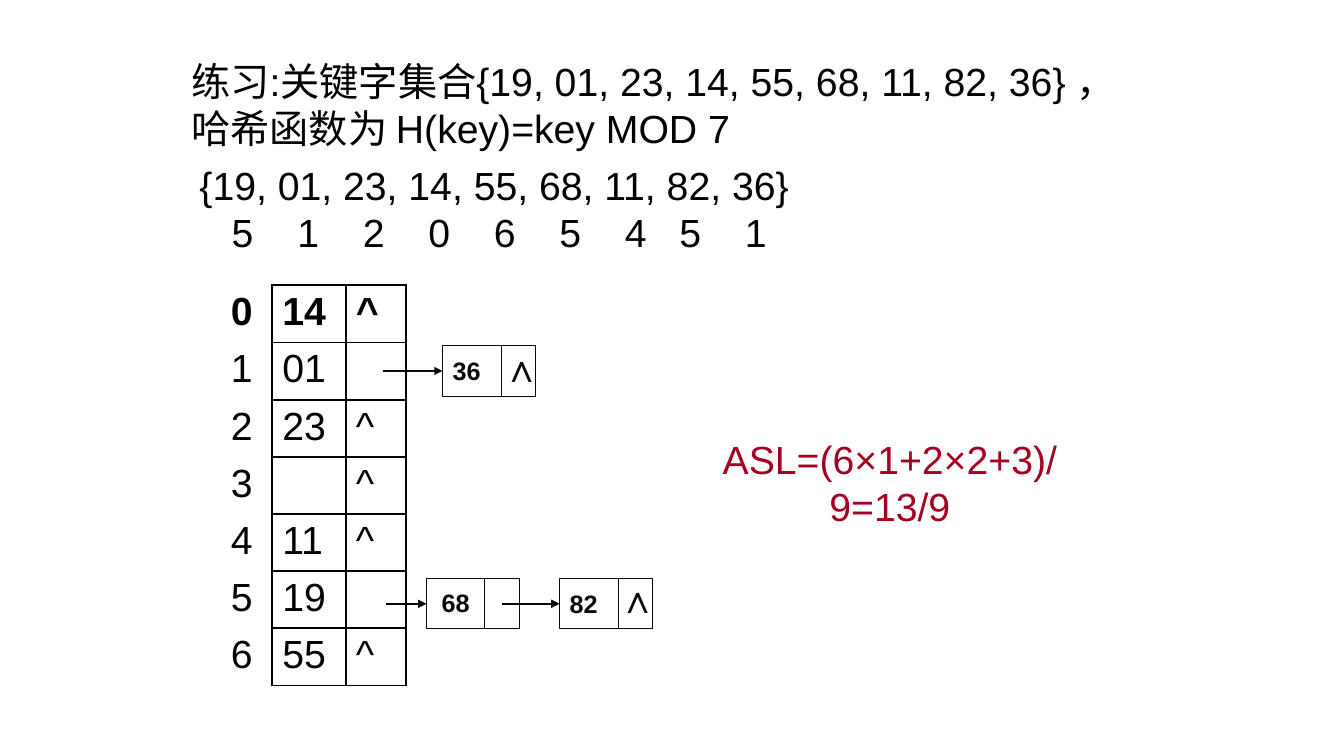
from dataclasses import dataclass
from lxml.etree import SubElement
from pptx import Presentation
from pptx.dml.color import RGBColor
from pptx.enum.shapes import MSO_CONNECTOR, MSO_SHAPE
from pptx.enum.text import MSO_ANCHOR, MSO_AUTO_SIZE, PP_ALIGN
from pptx.oxml import parse_xml
from pptx.oxml.ns import nsdecls, qn
from pptx.util import Inches, Pt


@dataclass(frozen=True)
class Theme:
    font: str = "Arial"
    black: str = "000000"
    ink: str = "080808"
    red: str = "A50021"
    white: str = "FFFFFF"
    big: int = 28
    small: int = 18
    thin: float = 0.75
    thick: float = 1.5


THEME = Theme()
SLOTS = [
    ("0", "14", "^"),
    ("1", "01", ""),
    ("2", "23", "^"),
    ("3", "", "^"),
    ("4", "11", "^"),
    ("5", "19", ""),
    ("6", "55", "^"),
]
HASHES = "512065451"
TABS = [0.32 + 0.65 * i for i in range(7)] + [4.76, 5.41]


def style(para, size, color, bold=False):
    for run in para.runs:
        run.font.name = THEME.font
        run.font.size = Pt(size)
        run.font.bold = bold
        run.font.color.rgb = RGBColor.from_string(color)


def add_text(slide, box, lines, size=THEME.big, color=THEME.black,
             bold=False, align=PP_ALIGN.LEFT, wrap=True):
    frame = slide.shapes.add_textbox(*map(Inches, box)).text_frame
    frame.word_wrap = wrap
    frame.auto_size = MSO_AUTO_SIZE.SHAPE_TO_FIT_TEXT
    frame.text = "\n".join(lines)
    for para in frame.paragraphs:
        para.alignment = align
        style(para, size, color, bold)
    return frame


def add_tabs(para, stops):
    props = para._p.get_or_add_pPr()
    tabs = SubElement(props, qn("a:tabLst"))
    for stop in stops:
        SubElement(tabs, qn("a:tab"), pos=str(Inches(stop)), algn="l")


def add_line(slide, start, end, width, arrow=False, node=None):
    line = slide.shapes.add_connector(
        MSO_CONNECTOR.STRAIGHT, *map(Inches, start + end))
    line.line.color.rgb = RGBColor.from_string(THEME.ink)
    line.line.width = Pt(width)
    props = line._element.spPr
    if arrow:
        SubElement(props.find(qn("a:ln")), qn("a:tailEnd"), type="triangle")
    SubElement(props, qn("a:effectLst"))
    if node is not None:
        line.end_connect(node, 1)


def add_node(slide, left, top, key=""):
    node = slide.shapes.add_shape(
        MSO_SHAPE.RECTANGLE, *map(Inches, (left, top, 0.92, 0.5)))
    node.shadow.inherit = False
    node.fill.background()
    node.line.color.rgb = RGBColor.from_string(THEME.ink)
    node.line.width = Pt(THEME.thin)
    frame = node.text_frame
    frame.word_wrap = False
    frame.vertical_anchor = MSO_ANCHOR.MIDDLE
    frame.text = key
    para = frame.paragraphs[0]
    para.alignment = PP_ALIGN.LEFT
    style(para, THEME.small, THEME.ink, True)
    split = left + 0.58
    add_line(slide, (split, top), (split, top + 0.5), THEME.thin)
    return node


def set_edges(cell, shown):
    props = cell._tc.get_or_add_tcPr()
    for index, side in enumerate("LRTB"):
        fill = (f'<a:solidFill><a:srgbClr val="{THEME.black}"/></a:solidFill>'
                if side in shown else "<a:noFill/>")
        edge = parse_xml(
            f'<a:ln{side} {nsdecls("a")} w="{Pt(THEME.thick)}">{fill}</a:ln{side}>')
        props.insert(index, edge)


def add_slots(slide):
    table = slide.shapes.add_table(
        len(SLOTS), 3, *map(Inches, (2.19, 2.83, 1.84, 3.97))).table
    table.first_row = table.horz_banding = False
    for column, width in zip(table.columns, (0.51, 0.73, 0.6)):
        column.width = Inches(width)
    for row, slot in enumerate(SLOTS):
        for col, value in enumerate(slot):
            cell = table.cell(row, col)
            cell.text = value
            cell.fill.solid()
            cell.fill.fore_color.rgb = RGBColor.from_string(THEME.white)
            style(cell.text_frame.paragraphs[0], THEME.big, THEME.black, row == 0)
            set_edges(cell, "LRTB" if col else "R")


def add_chains(slide):
    first = add_node(slide, 4.39, 3.43, "36")
    second = add_node(slide, 4.23, 5.74)
    third = add_node(slide, 5.55, 5.74, "82")
    add_text(slide, (4.28, 5.78, 0.48, 0.4), ["68"], THEME.small, THEME.ink,
             True, PP_ALIGN.CENTER, False)
    for left, top in ((4.88, 3.36), (6.03, 5.65)):
        add_text(slide, (left, top, 0.59, 0.57), ["∧"], color=THEME.ink,
                 align=PP_ALIGN.CENTER, wrap=False)
    for start, end, node in (
        ((3.8, 3.68), (4.39, 3.68), first),
        ((3.83, 5.99), (4.23, 5.99), second),
        ((4.98, 5.99), (5.55, 5.99), third),
    ):
        add_line(slide, start, end, THEME.thick, True, node)


def main():
    deck = Presentation()
    deck.slide_width, deck.slide_height = Inches(13.33), Inches(7.5)
    slide = deck.slides.add_slide(deck.slide_layouts[6])
    add_text(slide, (1.8, 0.52, 9.42, 1.04), [
        "练习:关键字集合{19, 01, 23, 14, 55, 68, 11, 82, 36} ，"
        "哈希函数为 H(key)=key MOD 7"])
    keys = add_text(slide, (1.88, 1.55, 6.15, 1.04), [
        "{19, 01, 23, 14, 55, 68, 11, 82, 36}",
        "".join("\t" + value for value in HASHES)])
    add_tabs(keys.paragraphs[1], TABS)
    add_slots(slide)
    add_chains(slide)
    add_text(slide, (6.48, 4.27, 4.69, 0.57), ["ASL=(6×1+2×2+3)/9=13/9"],
             color=THEME.red, align=PP_ALIGN.CENTER)
    deck.save("out.pptx")


if __name__ == "__main__":
    main()
